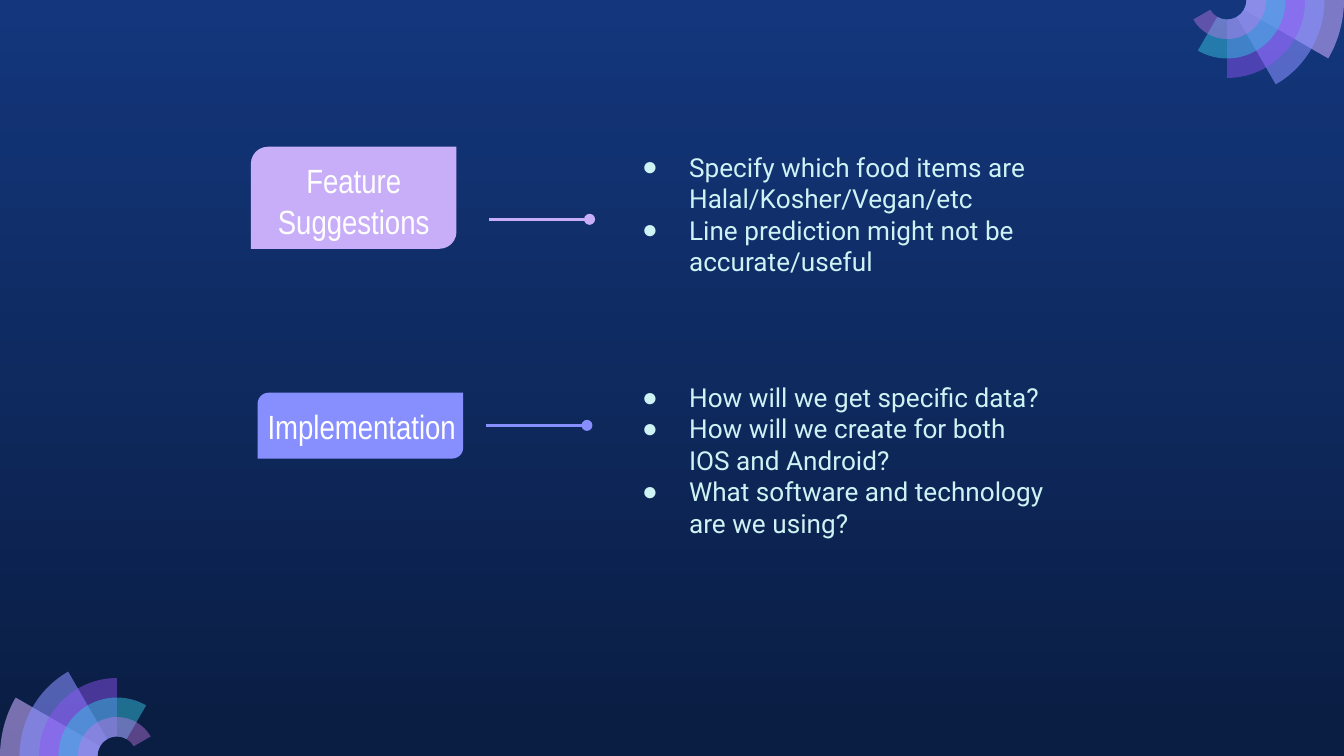
from dataclasses import dataclass
from math import cos, radians, sin, tan

from lxml.etree import SubElement
from pptx import Presentation
from pptx.dml.color import RGBColor
from pptx.enum.shapes import MSO_CONNECTOR, MSO_SHAPE
from pptx.enum.text import MSO_ANCHOR, MSO_AUTO_SIZE, PP_ALIGN
from pptx.oxml.ns import qn
from pptx.util import Inches, Pt

SKY = RGBColor(0x13, 0x36, 0x7C)
NIGHT = RGBColor(0x0A, 0x1D, 0x42)
WHITE = RGBColor(0xFF, 0xFF, 0xFF)
ICE = RGBColor(0xCE, 0xF3, 0xF5)
LILAC = RGBColor(0xC8, 0xAE, 0xF8)
PERIWINKLE = RGBColor(0x87, 0x8F, 0xFF)
PALE_LILAC = RGBColor(0xC8, 0xAC, 0xFD)
VIOLET = RGBColor(0x91, 0x54, 0xF8)
TEAL = RGBColor(0x35, 0xC2, 0xDF)
ORCHID = RGBColor(0xCA, 0x7B, 0xEB)

FAN_RINGS = [(PALE_LILAC, 58), (PERIWINKLE, 58), (VIOLET, 46), (TEAL, 49), (ORCHID, 42)]
RING_STEP = 1.45
COLUMNS, ROWS = 100, 56.25


@dataclass
class Topic:
    """Content of one topic row, with parts measured from the row's corner."""
    name: str
    points: list
    color: RGBColor
    tag: tuple
    label: tuple
    line: tuple


TOPICS = [
    Topic("Feature Suggestions",
          ["Specify which food items are Halal/Kosher/Vegan/etc",
           "Line prediction might not be accurate/useful"],
          LILAC, (0, 0, 15.3, 7.6), (0.9, 0, 13.5, 7.6), (17.7, 5.4)),
    Topic("Implementation",
          ["How will we get specific data?",
           "How will we create for both IOS and Android?",
           "What software and technology are we using?"],
          PERIWINKLE, (0.5, 0, 15.3, 4.9), (0, 0, 16.5, 4.3), (17.5, 2.43)),
]


def grid(cells):
    """Turn a count of grid cells into a length."""
    return Inches(cells * 10 / COLUMNS)


def place(shape, left, top, width, height):
    """Move a shape to a box given in grid cells."""
    shape.left, shape.top = grid(left), grid(top)
    shape.width, shape.height = grid(width), grid(height)


def paint(shape, color, opacity=100):
    """Give a shape a flat fill without line or shadow."""
    shape.shadow.inherit = False
    shape.line.fill.background()
    shape.fill.solid()
    shape.fill.fore_color.rgb = color
    if opacity < 100:
        tint = shape.fill._xPr.find(".//" + qn("a:srgbClr"))
        SubElement(tint, qn("a:alpha"), val=str(opacity * 1000))


def draw_sector(group, hub, outer, start, sweep):
    """Draw a ring sector with curved edges, split at each quarter turn."""
    def spot(radius, angle):
        return (grid(hub[0] + radius * cos(radians(angle))),
                grid(hub[1] + radius * sin(radians(angle))))

    angles = [start, start + sweep] if sweep <= 90 else [start, start + 90, start + sweep]
    joints = [(outer, angle) for angle in angles]
    joints += [(RING_STEP, angle) for angle in reversed(angles)]
    outline = group.shapes.build_freeform(*spot(*joints[0]))
    outline.add_line_segments([spot(*joint) for joint in joints[1:]])
    sector = outline.convert_to_shape()
    edges = list(sector._element.iter(qn("a:lnTo")))
    for edge, (radius, begin), (end_radius, end) in zip(edges, joints, joints[1:]):
        if radius != end_radius:
            continue
        reach = 4 / 3 * tan(radians(end - begin) / 4)
        curve = edge.makeelement(qn("a:cubicBezTo"))
        for angle, pull in ((begin, reach), (end, -reach)):
            x, y = spot(radius, angle)
            x += grid(-pull * radius * sin(radians(angle))) - sector.left
            y += grid(pull * radius * cos(radians(angle))) - sector.top
            SubElement(curve, qn("a:pt"), x=str(x), y=str(y))
        curve.append(edge[0])
        edge.getparent().replace(edge, curve)
    return sector


def draw_fan(page, box, turn):
    """Draw overlapping ring sectors whose hub lies on the page edge."""
    left, top, width, height = box
    outer = RING_STEP * 6
    hub = (left + width - outer, top) if turn else (left + outer, top + height)
    group = page.shapes.add_group_shape()
    for number, (color, opacity) in enumerate(FAN_RINGS):
        radius = outer - RING_STEP * number
        sector = draw_sector(group, hub, radius, 180 + turn, 30 * (number + 1))
        paint(sector, color, opacity)


def set_frame(holder, anchor, right=0.1):
    """Set the margins and anchor of a placeholder and return its text frame."""
    frame = holder.text_frame
    frame.word_wrap = True
    frame.auto_size = MSO_AUTO_SIZE.NONE
    frame.vertical_anchor = anchor
    frame.margin_left = frame.margin_top = frame.margin_bottom = Inches(0.1)
    frame.margin_right = Inches(right)
    return frame


def write(para, text, font, size, color):
    """Add one formatted run to a paragraph."""
    para.space_before = Pt(0)
    span = para.add_run()
    span.text = text
    span.font.name, span.font.size, span.font.bold = font, Pt(size), False
    span.font.color.rgb = color


def add_bullet(para):
    """Give a paragraph a hanging round bullet."""
    marks = para._p.get_or_add_pPr()
    marks.set("marL", str(Inches(0.5)))
    marks.set("indent", str(Inches(-0.35)))
    SubElement(SubElement(marks, qn("a:buClr")), qn("a:srgbClr"), val=str(ICE))
    SubElement(marks, qn("a:buChar"), char="●")


def draw_pointer(page, left, top, length, color):
    """Draw a level line that ends in a dot."""
    line = page.shapes.add_connector(MSO_CONNECTOR.STRAIGHT, grid(left), grid(top),
                                     grid(left + length), grid(top))
    line.line.color.rgb = color
    line.line.width = Pt(1.5)
    SubElement(line.line._get_or_add_ln(), qn("a:tailEnd"), type="oval")
    SubElement(line._element.spPr, qn("a:effectLst"))


def draw_topic(page, box, topic, label, body):
    """Lay out a tag, its pointer and its list within a row."""
    left, top, width, height = box
    tag = page.shapes.add_shape(MSO_SHAPE.ROUND_2_DIAG_RECTANGLE, 0, 0, 0, 0)
    tag.adjustments[0], tag.adjustments[1] = 0.167, 0
    paint(tag, topic.color)
    for shape, (x, y, wide, high) in ((tag, topic.tag), (label, topic.label)):
        place(shape, left + x, top + y, wide, high)
    page.shapes._spTree.append(label._element)
    para = set_frame(label, MSO_ANCHOR.TOP).paragraphs[0]
    para.alignment = PP_ALIGN.CENTER
    para.space_after = Pt(16)
    write(para, topic.name, "Arial Narrow", 18, WHITE)

    draw_pointer(page, left + topic.line[0], top + topic.line[1], 7.5, topic.color)

    place(body, left + width - 36, top, 36, height)
    page.shapes._spTree.append(body._element)
    frame = set_frame(body, MSO_ANCHOR.MIDDLE, right=0.3)
    for number, point in enumerate(topic.points):
        para = frame.add_paragraph() if number else frame.paragraphs[0]
        add_bullet(para)
        write(para, point, "Roboto", 14, ICE)


def main():
    """Build the slide and save it."""
    deck = Presentation()
    deck.slide_width, deck.slide_height = grid(COLUMNS), grid(ROWS)
    page = deck.slides.add_slide(deck.slide_layouts.get_by_name("Comparison"))
    title = page.shapes.title._element
    title.getparent().remove(title)

    backdrop = page.background.fill
    backdrop.gradient()
    backdrop.gradient_angle = 270
    for stop, color in zip(backdrop.gradient_stops, (SKY, NIGHT)):
        stop.color.rgb = color

    holders = {holder.placeholder_format.idx: holder for holder in page.placeholders}
    draw_fan(page, (0, ROWS - 6.3, 11.2, 6.3), 0)
    draw_fan(page, (COLUMNS - 11.2, 0, 11.2, 6.3), 180)
    for number, topic in enumerate(TOPICS):
        row = (18.67, 10.92 + 18.3 * number, 62.6, 10)
        draw_topic(page, row, topic, holders[2 * number + 1], holders[2 * number + 2])
    deck.save("out.pptx")


if __name__ == "__main__":
    main()
